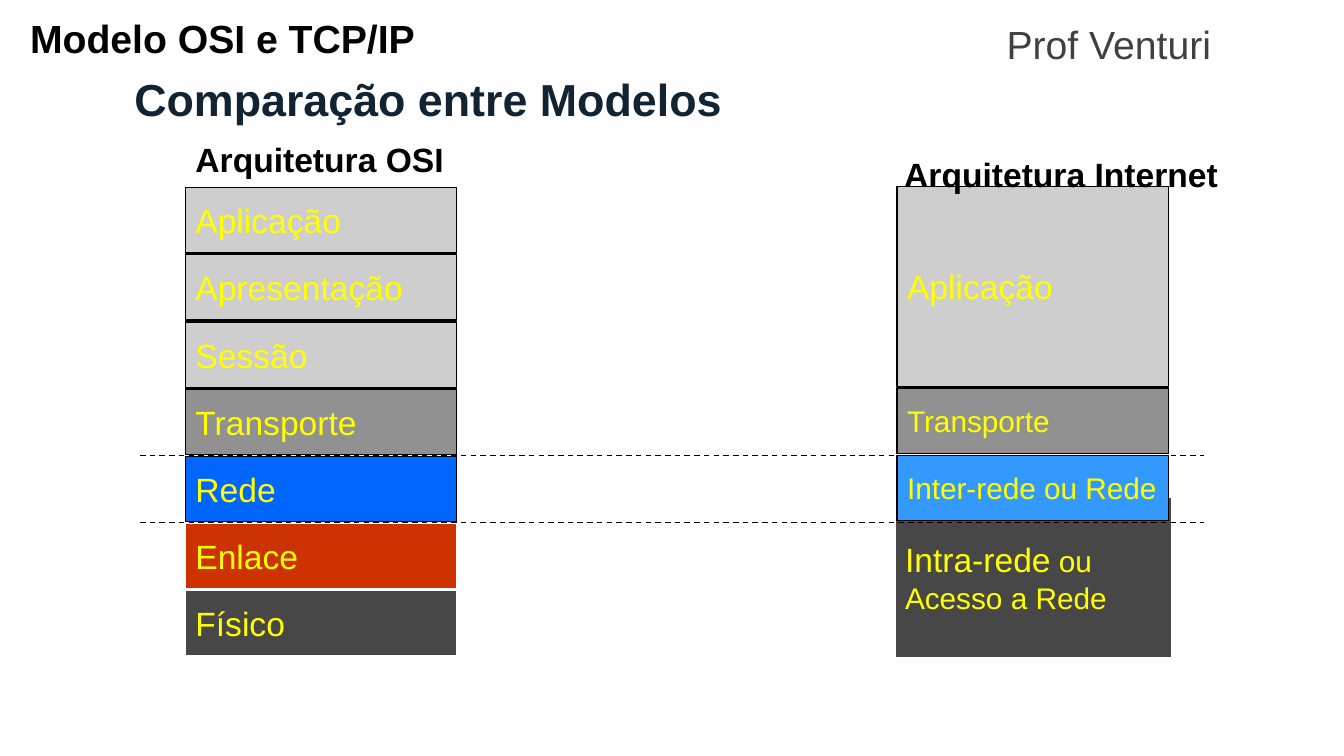
import pptx
import pptx.util
import pptx.dml.color
import pptx.enum.dml
import pptx.enum.shapes
import pptx.enum.text
import pptx.oxml.ns
import lxml.etree

Pt = pptx.util.Pt
RGB = pptx.dml.color.RGBColor.from_string
ALIGN = pptx.enum.text.PP_ALIGN
ANCHOR = pptx.enum.text.MSO_ANCHOR
FIT = pptx.enum.text.MSO_AUTO_SIZE

THEME = {
    "font": "Arial",
    "black": "000000", "white": "FFFFFF", "author": "404040", "title": "122334",
    "label": "FFFF00", "upper": "CECECE", "transport": "919191", "network": "0066FF",
    "internet": "3399FF", "link": "CC3300", "physical": "474747",
    "title_size": 32, "header_size": 28, "layer_size": 24, "small_size": 21.3,
}


def write(sp, lines, color, align=ALIGN.LEFT, bold=False, **frame):
    tf = sp.text_frame
    for name, value in frame.items():
        setattr(tf, name, value)
    for i, runs in enumerate(lines):
        p = tf.add_paragraph() if i else tf.paragraphs[0]
        p.alignment = align
        for text, size in runs:
            r = p.add_run()
            r.text = text
            fmt = {"name": THEME["font"], "size": Pt(THEME[size]), "bold": bold}
            for name, value in fmt.items():
                setattr(r.font, name, value)
            r.font.color.rgb = RGB(THEME[color])


def layer(left, top, width, height, lines, fill, line):
    sp = s.shapes.add_shape(pptx.enum.shapes.MSO_SHAPE.RECTANGLE,
                            Pt(left), Pt(top), Pt(width), Pt(height))
    sp.shadow.inherit = False
    sp.fill.solid()
    sp.fill.fore_color.rgb = RGB(THEME[fill])
    sp.line.color.rgb = RGB(THEME[line])
    sp.line.width = Pt(1)
    write(sp, lines, "label", word_wrap=False, vertical_anchor=ANCHOR.MIDDLE)


prs = pptx.Presentation()
prs.slide_width, prs.slide_height = Pt(960), Pt(540)
s = prs.slides.add_slide(prs.slide_layouts[6])

wrapped = {"word_wrap": True}
grown = {"word_wrap": False, "auto_size": FIT.SHAPE_TO_FIT_TEXT}
headings = [
    ("Modelo OSI e TCP/IP", (14.4, 10.8, 365, 43.9), "header_size", "black", ALIGN.LEFT, True, wrapped),
    ("Prof Venturi", (670.3, 10.8, 243.4, 36), "header_size", "author", ALIGN.CENTER, False, wrapped),
    ("Comparação entre Modelos", (0, 47.5, 612, 41.8), "title_size", "title", ALIGN.CENTER, True, wrapped),
    ("Arquitetura OSI", (132.5, 95.8, 193.7, 36), "layer_size", "black", ALIGN.LEFT, True, grown),
]
for text, box, size, color, align, bold, frame in headings:
    sp = s.shapes.add_textbox(*map(Pt, box))
    write(sp, [[(text, size)]], color, align, bold, **frame)
    if size == "header_size" and bold:
        sp.text_frame.paragraphs[0].line_spacing = 0.9

PITCH, HEIGHT, WIDTH = 48, 46.8, 193.7
OSI_LEFT, OSI_TOP = 132.5, 133.9
NET_LEFT, NET_TOP = 640.8, 133.2

osi_layers = [
    ("Aplicação", "upper", "black"),
    ("Apresentação", "upper", "black"),
    ("Sessão", "upper", "black"),
    ("Transporte", "transport", "black"),
    ("Rede", "network", "black"),
    ("Enlace", "link", "white"),
    ("Físico", "physical", "white"),
]
for i, (text, fill, line) in enumerate(osi_layers):
    layer(OSI_LEFT, OSI_TOP + i * PITCH, WIDTH, HEIGHT, [[(text, "layer_size")]], fill, line)

layer(NET_LEFT, NET_TOP, WIDTH, 2 * PITCH + HEIGHT, [[("Aplicação", "layer_size")]], "upper", "black")
layer(NET_LEFT, NET_TOP + 3 * PITCH, WIDTH, HEIGHT, [[("Transporte", "small_size")]], "transport", "black")
layer(639.4, 355, 197.3, 114.5,
      [[("Intra-rede", "layer_size"), (" ou", "small_size")], [("Acesso a Rede", "small_size")]],
      "physical", "white")

sp = s.shapes.add_textbox(Pt(638.8), Pt(106.6), Pt(240.5), Pt(36))
write(sp, [[("Arquitetura Internet", "layer_size")]], "black", bold=True, **grown)

for y in (373.2, 325.4):
    c = s.shapes.add_connector(pptx.enum.shapes.MSO_CONNECTOR.STRAIGHT, Pt(100), Pt(y), Pt(860), Pt(y))
    c.line.color.rgb = RGB(THEME["black"])
    c.line.width = Pt(1)
    c.line.dash_style = pptx.enum.dml.MSO_LINE.DASH
    lxml.etree.SubElement(c._element.spPr, pptx.oxml.ns.qn("a:effectLst"))

layer(NET_LEFT, NET_TOP + 4 * PITCH, WIDTH, HEIGHT, [[("Inter-rede ou Rede", "small_size")]], "internet", "black")

prs.save("out.pptx")
